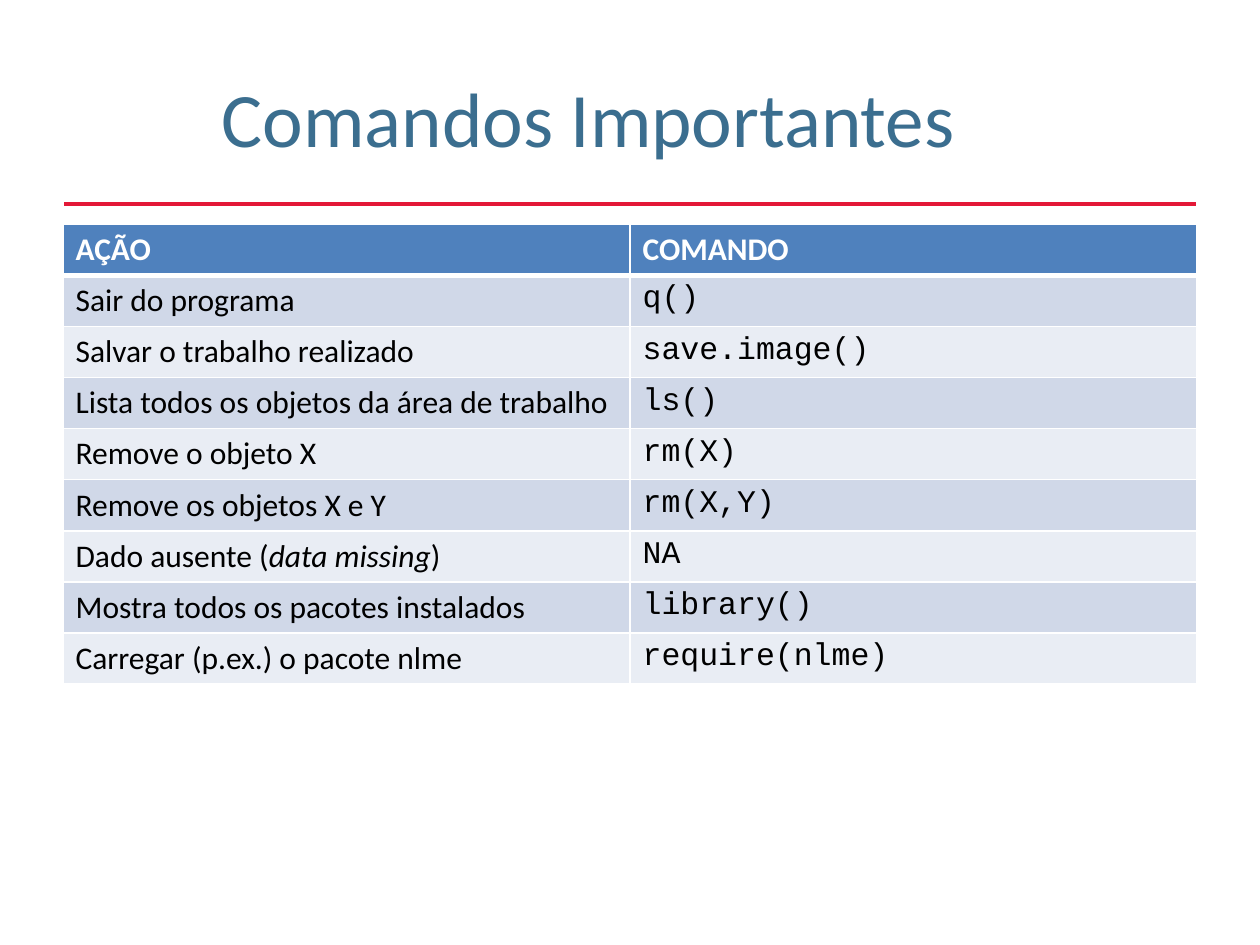
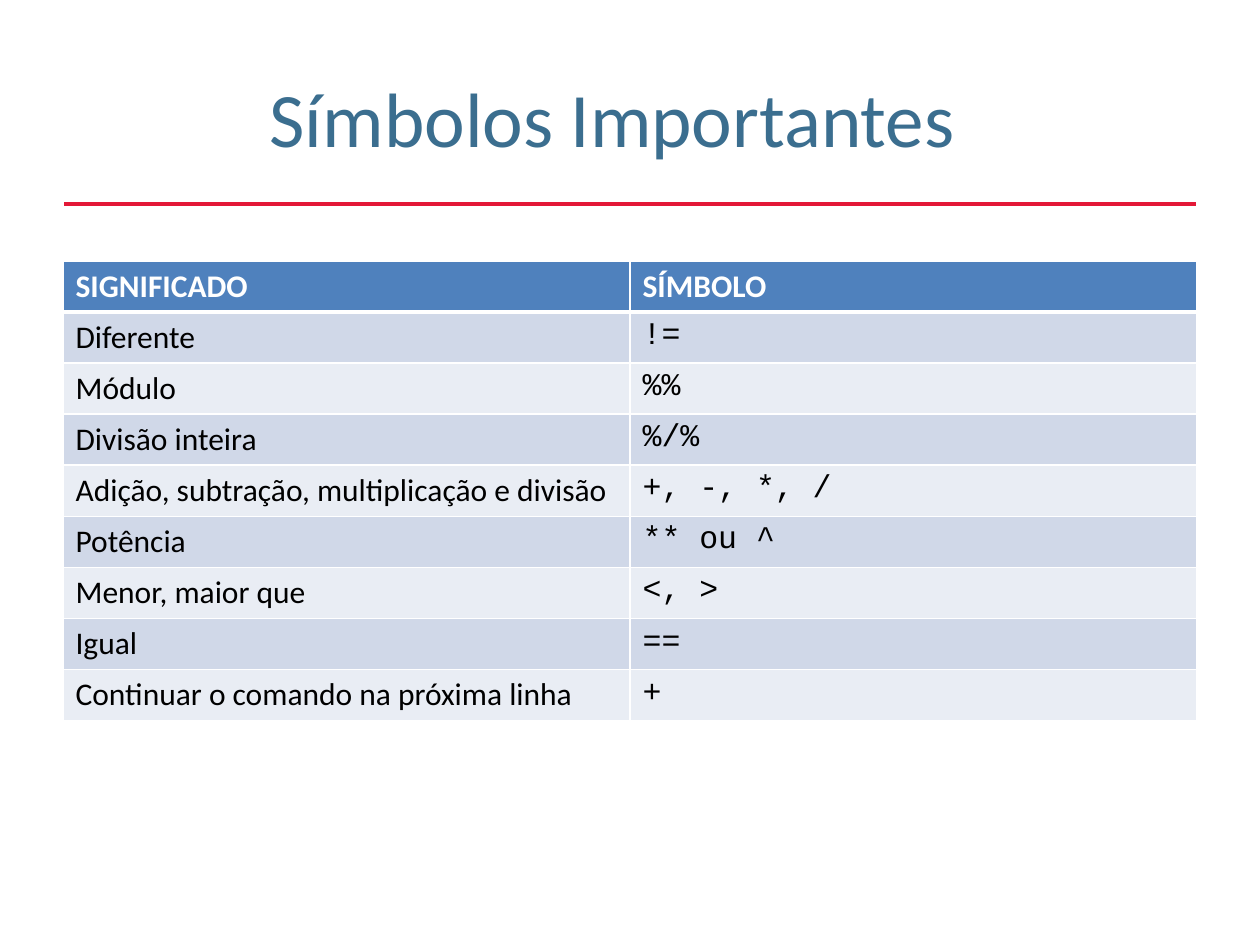
from lxml import etree
from pptx import Presentation
from pptx.dml.color import RGBColor
from pptx.enum import shapes, text
from pptx.oxml import ns
from pptx.util import Inches, Pt

COLORS = {
    "title": "3B6E8F", "rule": "E31837", "header": "4F81BD",
    "odd": "D0D8E8", "even": "E9EDF4", "white": "FFFFFF", "black": "000000",
}
BODY_FONT, CODE_FONT = "Calibri", "Courier New"
TITLE_BOX = (0.5, 0.3, 7.18, 1.25)
TABLE_SIZE = (9, 3.65)

COMMANDS = [
    ("AÇÃO", "COMANDO"),
    ("Sair do programa", "q()"),
    ("Salvar o trabalho realizado", "save.image()"),
    ("Lista todos os objetos da área de trabalho", "ls()"),
    ("Remove o objeto X", "rm(X)"),
    ("Remove os objetos X e Y", "rm(X,Y)"),
    (["Dado ausente (", ("data missing", True), ")"], "NA"),
    ("Mostra todos os pacotes instalados", "library()"),
    ("Carregar (p.ex.) o pacote nlme", "require(nlme)"),
]
SYMBOLS = [
    ("SIGNIFICADO", "SÍMBOLO"),
    ("Diferente", "!="),
    ("Módulo", "%%"),
    ("Divisão inteira", "%/%"),
    ("Adição, subtração, multiplicação e divisão", "+, -, *, /"),
    ("Potência", "** ou ^"),
    ("Menor, maior que", "<, >"),
    ("Igual", "=="),
    ("Continuar o comando na próxima linha", "+"),
]


def rgb(name):
    return RGBColor.from_string(COLORS[name])


def write(frame, content, size=18, font=BODY_FONT, color="black", bold=False,
          align=text.PP_ALIGN.LEFT):
    """Write a string, or a list of strings and (string, italic) pairs."""
    paragraph = frame.paragraphs[0]
    paragraph.alignment = align
    for piece in [content] if isinstance(content, str) else content:
        words, italic = (piece, False) if isinstance(piece, str) else piece
        run = paragraph.add_run()
        run.text = words
        run.font.name, run.font.size = font, Pt(size)
        run.font.bold, run.font.italic = bold, italic
        run.font.color.rgb = rgb(color)


def add_title(slide, title, box):
    frame = slide.shapes.add_textbox(*map(Inches, box)).text_frame
    frame.word_wrap = True
    frame.vertical_anchor = text.MSO_ANCHOR.MIDDLE
    write(frame, title, size=44, color="title", align=text.PP_ALIGN.RIGHT)


def add_rule(slide, left, right, top):
    rule = slide.shapes.add_connector(
        shapes.MSO_CONNECTOR.STRAIGHT,
        Inches(left), Inches(top), Inches(right), Inches(top))
    rule.line.color.rgb = rgb("rule")
    rule.line.width = Pt(2)
    etree.SubElement(rule._element.spPr, ns.qn("a:effectLst"))


def set_borders(cell, **widths):
    """Draw white borders, given in the order L, R, T, B."""
    properties = cell._tc.get_or_add_tcPr()
    for side, width in widths.items():
        line = etree.SubElement(properties, ns.qn(f"a:ln{side}"), w=str(Pt(width)))
        fill = etree.SubElement(line, ns.qn("a:solidFill"))
        etree.SubElement(fill, ns.qn("a:srgbClr"), val=COLORS["white"])


def add_reference_table(slide, rows, left, top, width, height):
    table = slide.shapes.add_table(
        len(rows), len(rows[0]), Inches(left), Inches(top),
        Inches(width), Inches(height)).table
    for r, row in enumerate(rows):
        header = r == 0
        shade = "header" if header else "odd" if r % 2 else "even"
        for c, content in enumerate(row):
            cell = table.cell(r, c)
            # The line under the header is thicker
            set_borders(cell, L=1, R=1, T=3 if r == 1 else 1, B=3 if header else 1)
            cell.fill.solid()
            cell.fill.fore_color.rgb = rgb(shade)
            write(cell.text_frame, content, bold=header,
                  color="white" if header else "black",
                  font=CODE_FONT if c and not header else BODY_FONT)


def add_reference_slide(deck, title, rows, table_top):
    slide = deck.slides.add_slide(deck.slide_layouts[6])
    add_rule(slide, 0.51, 9.49, 1.62)
    add_title(slide, title, TITLE_BOX)
    add_reference_table(slide, rows, 0.5, table_top, *TABLE_SIZE)


def main():
    deck = Presentation()
    deck.slide_width, deck.slide_height = Inches(10), Inches(7.5)
    add_reference_slide(deck, "Comandos Importantes", COMMANDS, 1.78)
    add_reference_slide(deck, "Símbolos Importantes", SYMBOLS, 2.07)
    deck.save("out.pptx")


if __name__ == "__main__":
    main()
